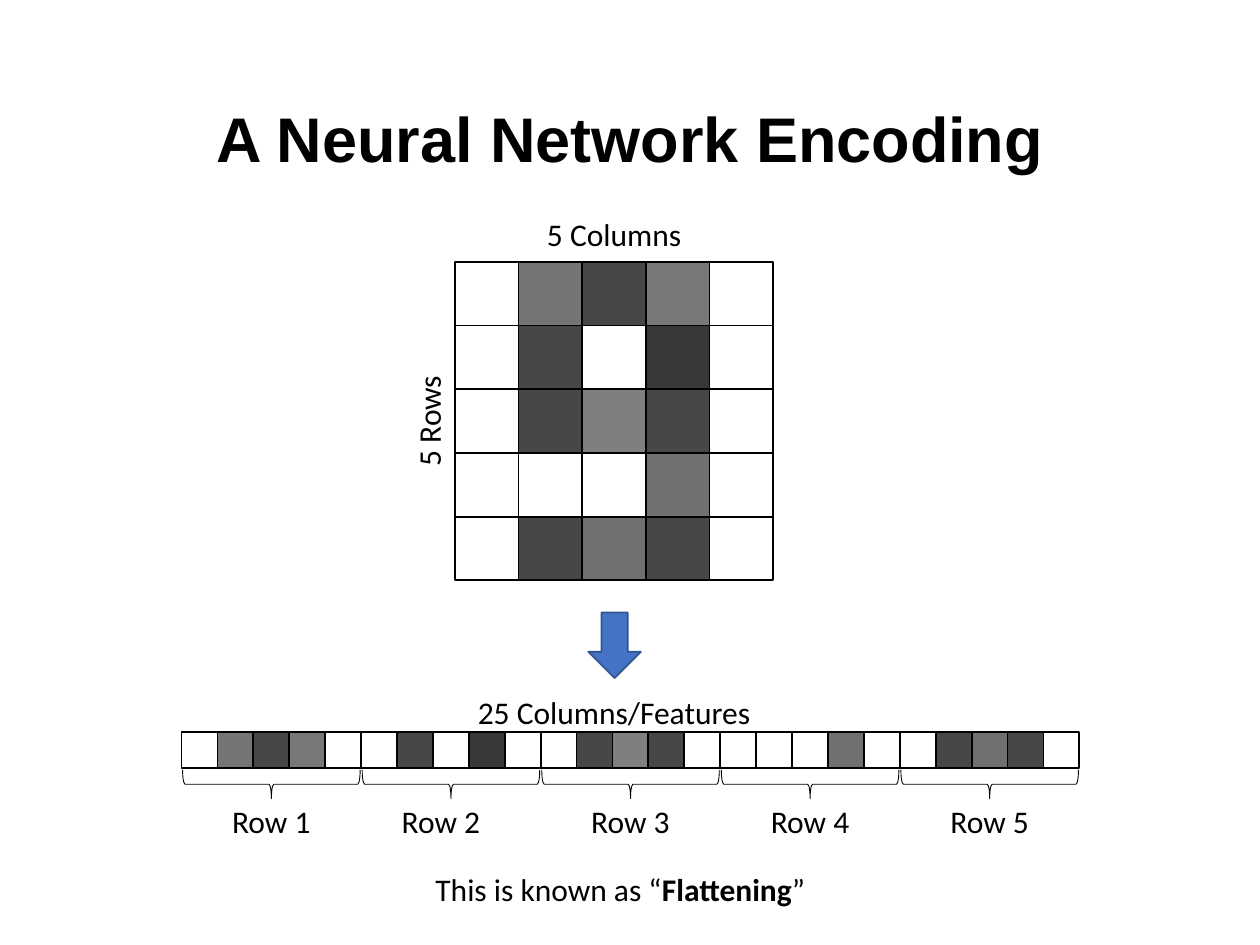
from lxml import etree
from pptx import Presentation
from pptx.dml.color import RGBColor
from pptx.enum.shapes import MSO_SHAPE as SHAPE
from pptx.enum.text import MSO_ANCHOR as ANCHOR, PP_ALIGN as ALIGN
from pptx.oxml.ns import qn
from pptx.util import Cm, Pt

COLORS = {"ink": "000000", "arrow": "4472C4", "arrow_edge": "325491"}

# Ink opacity of each pixel in percent; 0 leaves the cell empty
PIXELS = [
    [0, 54, 72, 53, 0],
    [0, 72, 0, 78, 0],
    [0, 72, 50, 72, 0],
    [0, 0, 0, 56, 0],
    [0, 72, 56, 72, 0],
]
LABEL_SHIFT = [0, -0.2, 0, 0, 0]


def rgb(name):
    """Return the named palette colour."""
    return RGBColor.from_string(COLORS[name])


def add_shape(shapes, kind, box, line, width, fill=None, opacity=100):
    """Place a preset shape in box (left, top, width, height in cm)."""
    s = shapes.add_shape(kind, *map(Cm, box))
    s.shadow.inherit = False
    s.line.color.rgb = rgb(line)
    s.line.width = Pt(width)
    if fill is None:
        s.fill.background()
    else:
        s.fill.solid()
        s.fill.fore_color.rgb = rgb(fill)
        if opacity < 100:
            color = s.fill._xPr.find(qn("a:solidFill"))[0]
            etree.SubElement(color, qn("a:alpha"), val=str(opacity * 1000))
    return s


def add_text(slide, box, *runs, size=18, font="Calibri", anchor=ANCHOR.TOP):
    """Place one centred paragraph; each run is (text, bold)."""
    s = slide.shapes.add_textbox(*map(Cm, box))
    tf = s.text_frame
    tf.word_wrap = True
    tf.vertical_anchor = anchor
    p = tf.paragraphs[0]
    p.alignment = ALIGN.CENTER
    for text, bold in runs:
        r = p.add_run()
        r.text = text
        r.font.name, r.font.size, r.font.bold = font, Pt(size), bold
        r.font.color.rgb = rgb("ink")
    return s


def add_cells(slide, left, top, width, rows):
    """Draw rows of square pixels as one group, empty cells on top."""
    shapes = slide.shapes.add_group_shape().shapes
    side = width / len(rows[0])
    cells = [(i, j, a) for i, row in enumerate(rows) for j, a in enumerate(row)]
    for i, j, opacity in sorted(cells, key=lambda cell: cell[2] == 0):
        box = (left + j * side, top + i * side, side, side)
        add_shape(shapes, SHAPE.RECTANGLE, box, "ink", 1,
                  "ink" if opacity else None, opacity)


def add_image_grid(slide, left, top, width):
    """Draw the pixel grid with its column and row captions."""
    add_cells(slide, left, top, width, PIXELS)
    mid = left + width / 2
    add_text(slide, (mid - 2.4, top - 1.06, 4.8, 1.02), ("5 Columns", False))
    s = add_text(slide, (left - 2.13, top + 2.7, 3.2, 1.02), ("5 Rows", False))
    s.rotation = 270


def add_feature_strip(slide, left, top, width):
    """Draw the flattened pixels with a brace and label per source row."""
    add_text(slide, (left + 4.62, top - 0.92, 8.2, 1.02),
             ("25 Columns/Features", False))
    add_cells(slide, left, top, width, [sum(PIXELS, [])])
    step = width / len(PIXELS)
    depth, span = 0.58, 3.58
    for i, shift in enumerate(LABEL_SHIFT):
        mid = left + (i + 0.5) * step
        box = (mid - depth / 2, top + 1.05 - span / 2, depth, span)
        brace = add_shape(slide.shapes, SHAPE.RIGHT_BRACE, box, "ink", 0.5)
        brace.rotation = 90
        add_text(slide, (mid + shift - 2.35, top + 1.29, 4.7, 1.02),
                 (f"Row {i + 1}", False))


def build_slide(prs):
    """Lay out the title, the grid, the arrow, the strip and the note."""
    slide = prs.slides.add_slide(prs.slide_layouts[6])
    title = add_text(slide, (1.75, 1.02, 21.9, 3.68),
                     ("A Neural Network Encoding", True),
                     size=36, font="Arial", anchor=ANCHOR.MIDDLE)
    title.text_frame.paragraphs[0].line_spacing = 0.9
    add_image_grid(slide, 9.17, 5.28, 6.42)
    add_shape(slide.shapes, SHAPE.DOWN_ARROW, (11.86, 12.35, 1.06, 1.32),
              "arrow_edge", 1, "arrow")
    add_feature_strip(slide, 3.66, 14.76, 18.1)
    add_text(slide, (4.72, 17.42, 15.57, 1.02), ("This is known as “", False),
             ("Flattening", True), ("”", False))


prs = Presentation()
prs.slide_width, prs.slide_height = Cm(25.4), Cm(19.05)
build_slide(prs)
prs.save("out.pptx")
